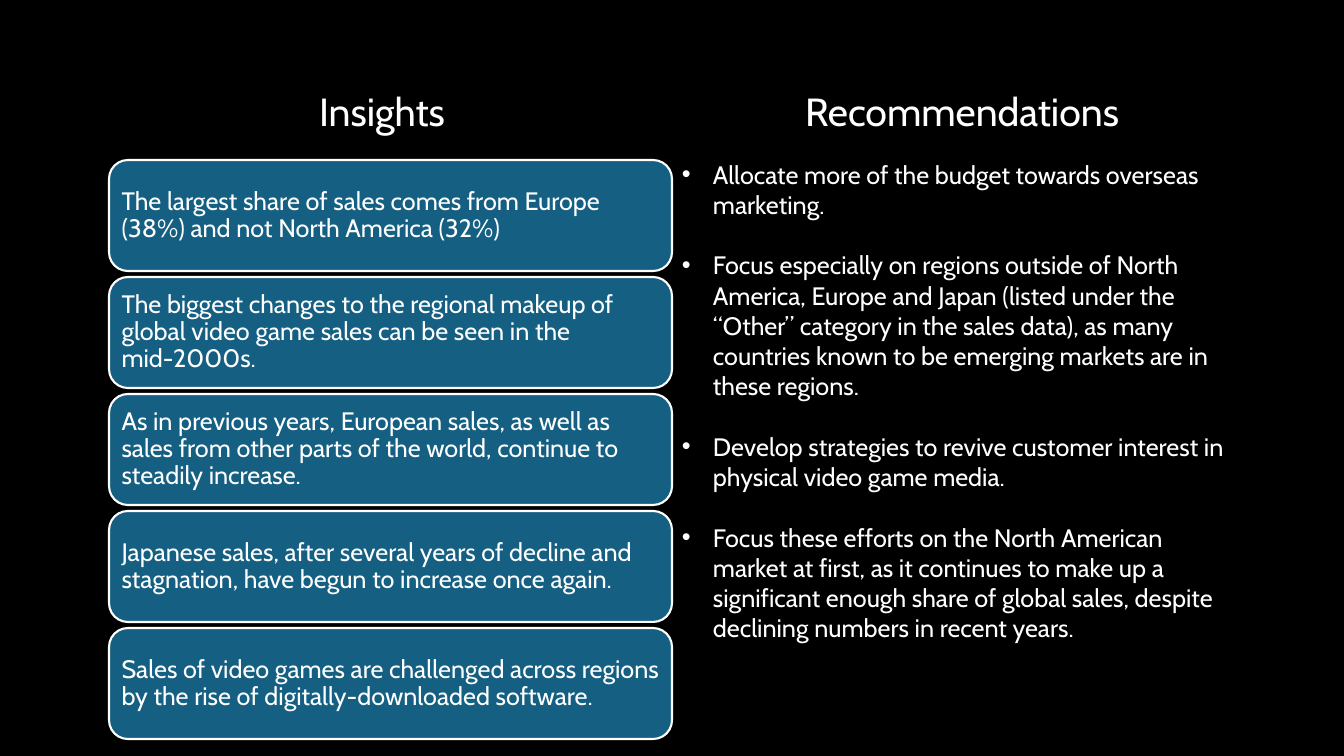
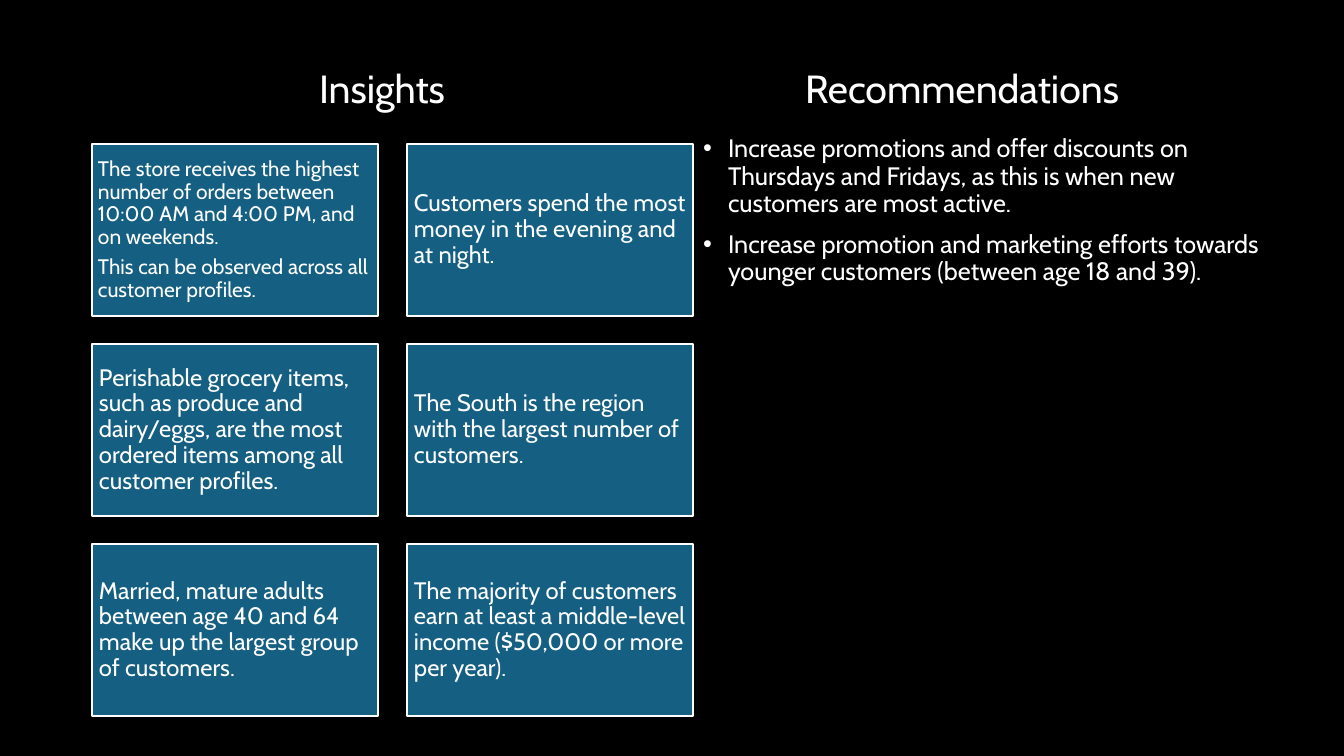
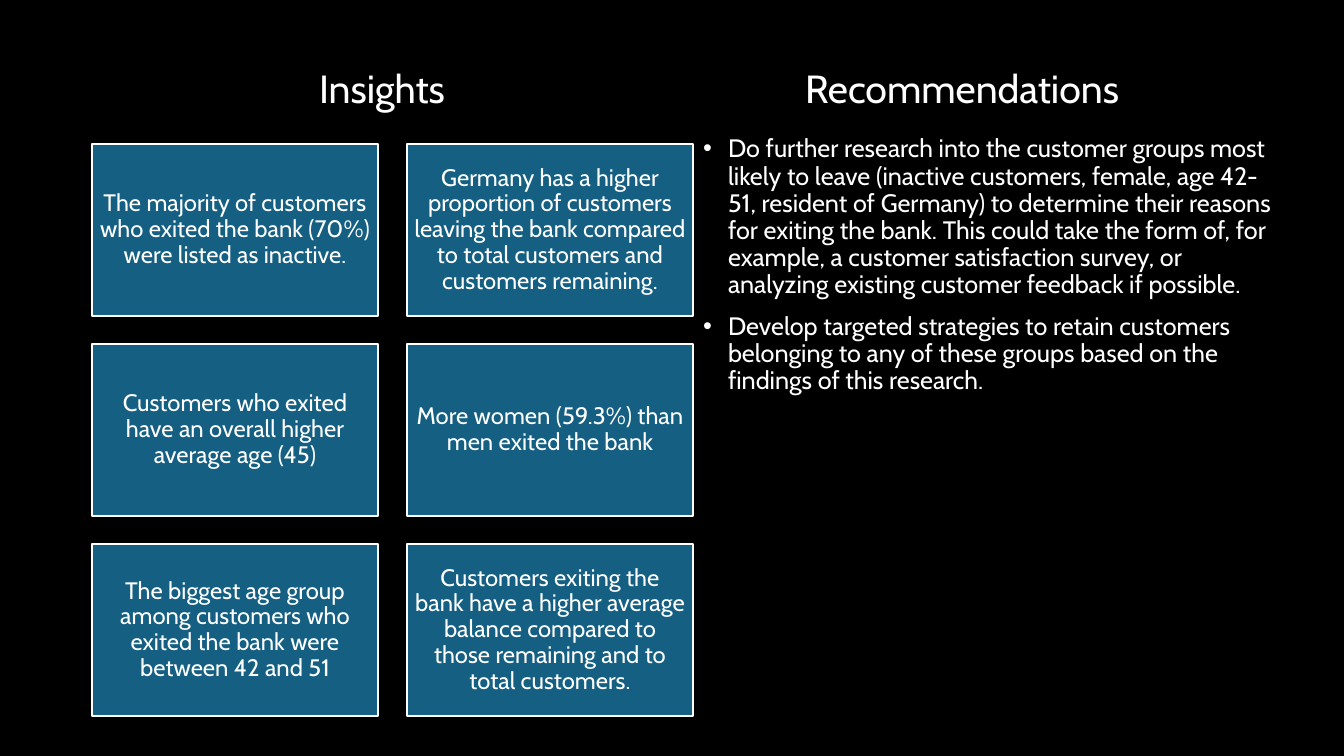
from lxml import etree
from pptx import Presentation
from pptx.dml.color import RGBColor
from pptx.enum.shapes import MSO_SHAPE
from pptx.enum.text import MSO_ANCHOR, PP_ALIGN
from pptx.oxml.ns import qn
from pptx.util import Emu, Pt

BLACK = RGBColor(0x00, 0x00, 0x00)
WHITE = RGBColor(0xFF, 0xFF, 0xFF)
TEAL = RGBColor(0x15, 0x60, 0x82)
FONT = "Cabin"
LEFT, CENTER = PP_ALIGN.LEFT, PP_ALIGN.CENTER
TOP, MIDDLE = MSO_ANCHOR.TOP, MSO_ANCHOR.MIDDLE
RECT, ROUNDED = MSO_SHAPE.RECTANGLE, MSO_SHAPE.ROUNDED_RECTANGLE

SLIDE_W, SLIDE_H = 1344, 756
SCALE = 12192000 / SLIDE_W

STACK = {
    "titles": (92, 87, 1160, 53),
    "cards": (109, 160, 563, 579),
    "columns": 1,
    "card_size": (563, 111),
    "preset": ROUNDED,
    "card_text": {"size": 18, "align": LEFT},
    "advice": (672, 154, 563, 559),
    "advice_text": {"spacing": 1.0, "gap": 21.6, "indent": 31},
}
GRID = {
    "titles": (92, 40, 1160, 101),
    "cards": (92, 144, 601, 572),
    "columns": 2,
    "card_size": (286, 172),
    "preset": RECT,
    "card_text": {"size": 17, "align": LEFT},
    "advice": (693, 131, 600, 597),
    "advice_text": {"spacing": 0.9, "gap": 10, "indent": 25},
}
CENTERED_GRID = {**GRID, "card_text": {"size": 17, "align": CENTER}}

SLIDES = [
    (
        STACK,
        [
            ["The largest share of sales comes from Europe (38%) and not North America (32%)"],
            ["The biggest changes to the regional makeup of global video game sales can be seen in the mid-2000s."],
            ["As in previous years, European sales, as well as sales from other parts of the world, "
             "continue to steadily increase."],
            ["Japanese sales, after several years of decline and stagnation, have begun to increase once again."],
            ["Sales of video games are challenged across regions by the rise of digitally-downloaded software."],
        ],
        [
            "Allocate more of the budget towards overseas marketing.",
            "Focus especially on regions outside of North America, Europe and Japan (listed under the “Other” "
            "category in the sales data), as many countries known to be emerging markets are in these regions.",
            "Develop strategies to revive customer interest in physical video game media.",
            "Focus these efforts on the North American market at first, as it continues to make up a significant "
            "enough share of global sales, despite declining numbers in recent years.",
        ],
    ),
    (
        GRID,
        [
            ["The store receives the highest number of orders between 10:00 AM and 4:00 PM, and on weekends.",
             "This can be observed across all customer profiles."],
            ["Customers spend the most money in the evening and at night."],
            ["Perishable grocery items, such as produce and dairy/eggs, are the most ordered items among all "
             "customer profiles."],
            ["The South is the region with the largest number of customers."],
            ["Married, mature adults between age 40 and 64 make up the largest group of customers."],
            ["The majority of customers earn at least a middle-level income ($50,000 or more per year)."],
        ],
        [
            "Increase promotions and offer discounts on Thursdays and Fridays, as this is when new customers "
            "are most active.",
            "Increase promotion and marketing efforts towards younger customers (between age 18 and 39).",
        ],
    ),
    (
        CENTERED_GRID,
        [
            ["The majority of customers who exited the bank (70%) were listed as inactive."],
            ["Germany has a higher proportion of customers leaving the bank compared to total customers and "
             "customers remaining."],
            ["Customers who exited have an overall higher average age (45)"],
            ["More women (59.3%) than men exited the bank"],
            ["The biggest age group among customers who exited the bank were between 42 and 51"],
            ["Customers exiting the bank have a higher average balance compared to those remaining and to "
             "total customers."],
        ],
        [
            "Do further research into the customer groups most likely to leave (inactive customers, female, "
            "age 42-51, resident of Germany) to determine their reasons for exiting the bank. This could take "
            "the form of, for example, a customer satisfaction survey, or analyzing existing customer feedback "
            "if possible.",
            "Develop targeted strategies to retain customers belonging to any of these groups based on the "
            "findings of this research.",
        ],
    ),
]


def px(n):
    return Emu(round(n * SCALE))


def set_all(target, values):
    for name, value in values.items():
        setattr(target, name, value)


def add_bullet(p, indent):
    pPr = p._p.get_or_add_pPr()
    pPr.set("marL", str(px(indent)))
    pPr.set("indent", str(-px(indent)))
    etree.SubElement(pPr, qn("a:buFont")).set("typeface", "Arial")
    etree.SubElement(pPr, qn("a:buChar")).set("char", "•")


def write(sp, texts, size, align=LEFT, anchor=MIDDLE, inset=(10, 5), spacing=0.9, gap=0, indent=0):
    tf = sp.text_frame
    side, edge = px(inset[0]), px(inset[1])
    set_all(tf, {
        "word_wrap": True, "vertical_anchor": anchor,
        "margin_left": side, "margin_right": side, "margin_top": edge, "margin_bottom": edge,
    })
    for i, text in enumerate(texts):
        p = tf.add_paragraph() if i else tf.paragraphs[0]
        set_all(p, {"alignment": align, "line_spacing": spacing})
        if i:
            p.space_before = Pt(gap)
        if indent:
            add_bullet(p, indent)
        r = p.add_run()
        r.text = text
        set_all(r.font, {"name": FONT, "size": Pt(size)})
        r.font.color.rgb = WHITE


def add_text(s, box, texts, **fmt):
    sp = s.shapes.add_textbox(*map(px, box))
    write(sp, texts, **fmt)


def add_titles(s, box):
    x, y, w, h = box
    for i, title in enumerate(["Insights", "Recommendations"]):
        add_text(s, (x + i * w / 2, y, w / 2, h), [title], size=28, align=CENTER)


def add_card(s, box, preset, texts, size, align):
    sp = s.shapes.add_shape(preset, *map(px, box))
    sp.shadow.inherit = False
    sp.fill.solid()
    sp.fill.fore_color.rgb = TEAL
    sp.line.color.rgb = WHITE
    sp.line.width = Pt(1.5)
    if preset == ROUNDED:
        sp.adjustments[0] = 0.17
    inset = 7
    if len(texts) > 1:
        size, inset = 15, 6
    write(sp, texts, size, align, inset=(inset, inset), gap=5.3)


def add_cards(s, box, columns, card_size, preset, cards, fmt):
    x, y, w, h = box
    card_w, card_h = card_size
    rows = len(cards) // columns
    step_x = (w - card_w) / max(columns - 1, 1)
    step_y = (h - card_h) / (rows - 1)
    for i, texts in enumerate(cards):
        row, col = divmod(i, columns)
        place = (x + col * step_x, y + row * step_y, card_w, card_h)
        add_card(s, place, preset, texts, **fmt)


def add_findings_slide(prs, style, insights, advice):
    s = prs.slides.add_slide(prs.slide_layouts[6])
    add_titles(s, style["titles"])
    add_cards(s, style["cards"], style["columns"], style["card_size"], style["preset"],
              insights, style["card_text"])
    add_text(s, style["advice"], advice, size=18, anchor=TOP, **style["advice_text"])


def main():
    prs = Presentation()
    set_all(prs, {"slide_width": px(SLIDE_W), "slide_height": px(SLIDE_H)})
    fill = prs.slide_master.background.fill
    fill.solid()
    fill.fore_color.rgb = BLACK
    for style, insights, advice in SLIDES:
        add_findings_slide(prs, style, insights, advice)
    prs.save("out.pptx")


if __name__ == "__main__":
    main()
